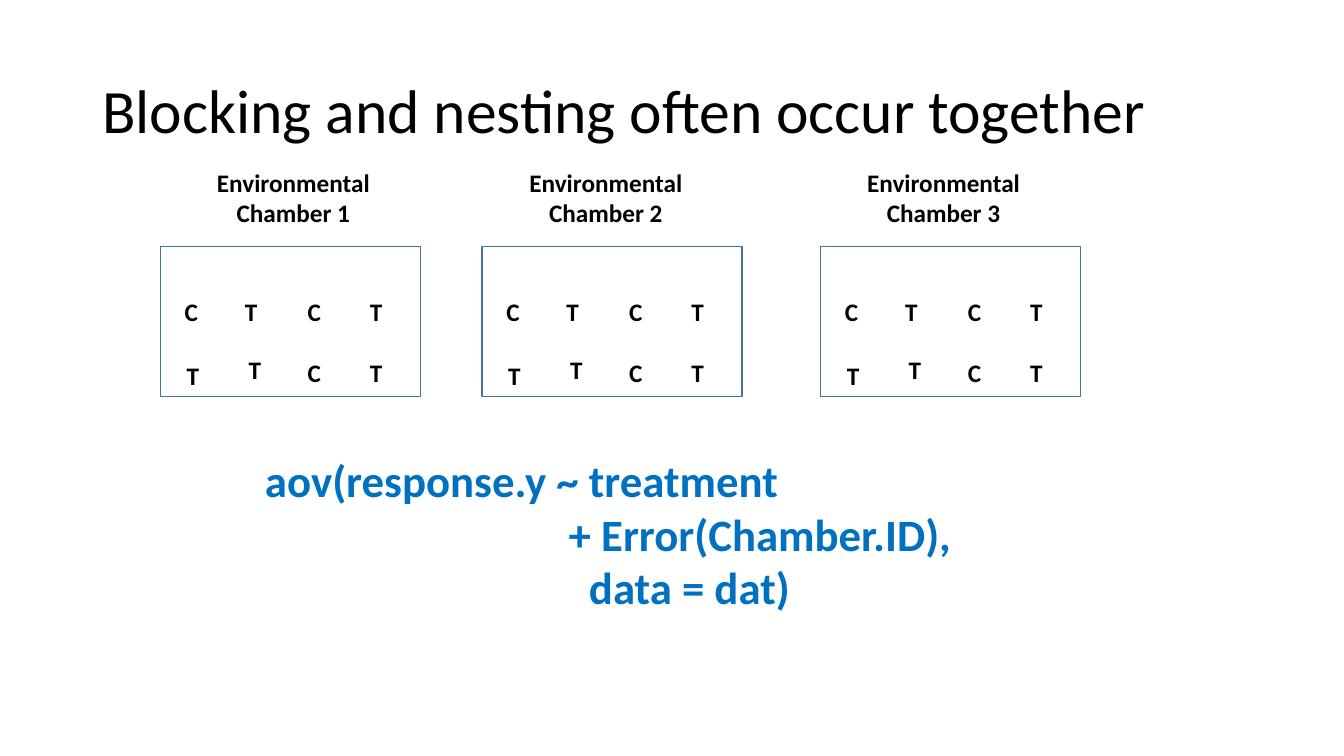
from pptx import Presentation
from pptx.dml.color import RGBColor
from pptx.enum.shapes import MSO_SHAPE
from pptx.enum.text import MSO_ANCHOR, MSO_AUTO_SIZE, PP_ALIGN
from pptx.util import Pt

RECT = MSO_SHAPE.RECTANGLE
TOP, MIDDLE = MSO_ANCHOR.TOP, MSO_ANCHOR.MIDDLE
LEFT, CENTER = PP_ALIGN.LEFT, PP_ALIGN.CENTER
GROW, FIXED = MSO_AUTO_SIZE.SHAPE_TO_FIT_TEXT, MSO_AUTO_SIZE.NONE

FONT = "Calibri"
BLACK, BLUE, OUTLINE = "000000", "0070C0", "43739E"

TITLE = "Blocking and nesting often occur together"
CHAMBERS = [
    ("Environmental Chamber 1", 114.5, 146.2),
    ("Environmental Chamber 2", 344.2, 369.4),
    ("Environmental Chamber 3", 586.1, 610.6),
]
PLOTS = [
    ("C", 7.2, 32.4), ("T", 49.9, 32.4), ("C", 95, 32.4), ("T", 139.2, 32.4),
    ("T", 8.2, 77.8), ("T", 52.5, 73.4), ("C", 95, 75.6), ("T", 139.2, 75.6),
]
CODE = [
    "aov(response.y ~ treatment",
    "                              + Error(Chamber.ID),",
    "                                data = dat)",
]
BOX_TOP, BOX_W, BOX_H = 175.9, 185.8, 107.2
PLOT_W, PLOT_H = 30, 29


def rgb(color):
    return RGBColor.from_string(color)


def add_text(shapes, box, lines, size, color=BLACK, bold=True,
             align=CENTER, anchor=TOP, fit=GROW, spacing=None):
    tf = shapes.add_textbox(*map(Pt, box)).text_frame
    tf.word_wrap = True
    tf.auto_size = fit
    tf.vertical_anchor = anchor
    for i, line in enumerate(lines):
        p = tf.paragraphs[0] if i == 0 else tf.add_paragraph()
        p.alignment = align
        if spacing:
            p.line_spacing = spacing
        r = p.add_run()
        r.text = line
        r.font.name = FONT
        r.font.size = Pt(size)
        r.font.bold = bold
        r.font.color.rgb = rgb(color)


def add_chamber(shapes, left):
    group = shapes.add_group_shape().shapes
    for label, dx, dy in PLOTS:
        add_text(group, (left + dx, BOX_TOP + dy, PLOT_W, PLOT_H), [label], 18)
    sp = group.add_shape(RECT, Pt(left), Pt(BOX_TOP), Pt(BOX_W), Pt(BOX_H))
    sp.shadow.inherit = False
    sp.fill.background()
    sp.line.color.rgb = rgb(OUTLINE)
    sp.line.width = Pt(1)


prs = Presentation()
prs.slide_width, prs.slide_height = Pt(960), Pt(540)
s = prs.slides.add_slide(prs.slide_layouts[6])

add_text(s.shapes, (66, 28.8, 828, 104.4), [TITLE], 44, bold=False,
         align=LEFT, anchor=MIDDLE, fit=FIXED, spacing=0.9)
for name, left, name_left in CHAMBERS:
    add_chamber(s.shapes, left)
    add_text(s.shapes, (name_left, 116, 126.7, 51), [name], 18)
add_text(s.shapes, (182.2, 319.7, 626.4, 123.8), CODE, 32, BLUE, align=LEFT)

prs.save("out.pptx")
